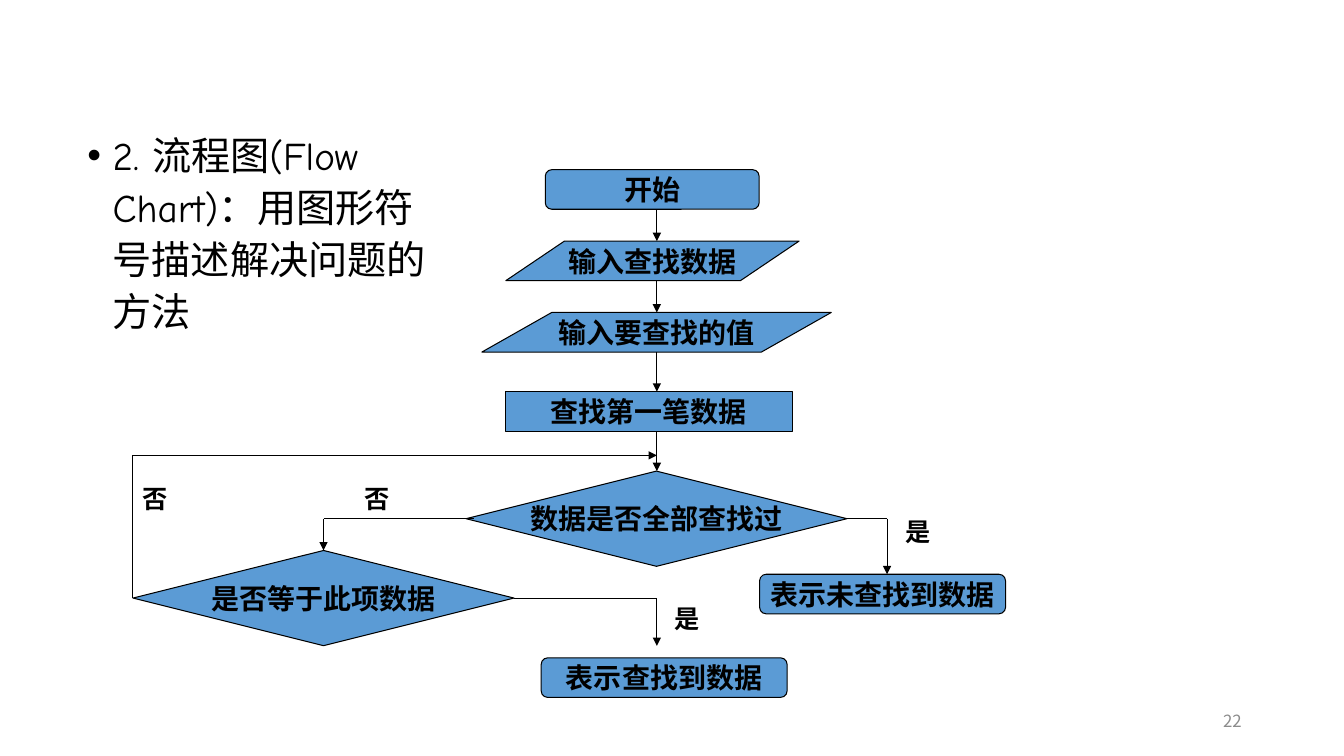
import lxml.etree
import pptx
import pptx.dml.color
import pptx.enum.shapes
import pptx.enum.text
import pptx.oxml.ns
import pptx.util

Pt = pptx.util.Pt
qn = pptx.oxml.ns.qn
Align = pptx.enum.text.PP_ALIGN
Anchor = pptx.enum.text.MSO_ANCHOR
Preset = pptx.enum.shapes.MSO_SHAPE

COLORS = {"ink": "000000", "fill": "5B9BD5", "number": "8C8C8C"}
CJK_FONT = "Noto Sans CJK SC"


def color(name):
    return pptx.dml.color.RGBColor.from_string(COLORS[name])


class FlowPage:
    line_width = Pt(0.75)
    node_height = 28.3
    decision_height = 68

    def __init__(self, deck):
        self.page = deck.slides.add_slide(deck.slide_layouts[6])

    def label(self, shape, text, size, font="Cabin", ink="ink", bold=False, align=Align.LEFT):
        para = shape.text_frame.paragraphs[0]
        para.text = text
        para.alignment = align
        para.font.size = Pt(size)
        para.font.bold = bold
        para.font.name = font
        para.font.color.rgb = color(ink)
        defaults = para._p.pPr.find(qn("a:defRPr"))
        lxml.etree.SubElement(defaults, qn("a:ea"), typeface=CJK_FONT)
        return para

    def text(self, left, top, width, height, text, size, anchor=Anchor.TOP, **style):
        box = self.page.shapes.add_textbox(Pt(left), Pt(top), Pt(width), Pt(height))
        box.text_frame.word_wrap = True
        box.text_frame.vertical_anchor = anchor
        return self.label(box, text, size, **style)

    def bullet(self, para, indent):
        para.line_spacing = 1.1
        para.space_before = Pt(10)
        properties = para._p.pPr
        properties.set("marL", str(Pt(indent)))
        properties.set("indent", str(-Pt(indent)))
        defaults = properties.find(qn("a:defRPr"))
        font = lxml.etree.Element(qn("a:buFont"), typeface="Arial")
        mark = lxml.etree.Element(qn("a:buChar"), char="•")
        defaults.addprevious(font)
        defaults.addprevious(mark)

    def node(self, preset, left, top, width, text):
        decision = preset == Preset.FLOWCHART_DECISION
        height = self.decision_height if decision else self.node_height
        shape = self.page.shapes.add_shape(preset, Pt(left), Pt(top), Pt(width), Pt(height))
        shape.shadow.inherit = False
        shape.fill.solid()
        shape.fill.fore_color.rgb = color("fill")
        shape.line.color.rgb = color("ink")
        shape.line.width = self.line_width
        shape.text_frame.word_wrap = False
        shape.text_frame.vertical_anchor = Anchor.MIDDLE
        self.label(shape, text, 20, bold=True, align=Align.CENTER)

    def route(self, *points):
        """Straight segments through the points, with an arrowhead at the end."""
        for start, end in zip(points, points[1:]):
            line = self.page.shapes.add_connector(
                pptx.enum.shapes.MSO_CONNECTOR.STRAIGHT, *map(Pt, start + end))
            line.line.color.rgb = color("ink")
            line.line.width = self.line_width
            properties = line._element.spPr
            if end == points[-1]:
                outline = properties.find(qn("a:ln"))
                lxml.etree.SubElement(outline, qn("a:tailEnd"), type="triangle")
            lxml.etree.SubElement(properties, qn("a:effectLst"))


def main():
    deck = pptx.Presentation()
    deck.slide_width, deck.slide_height = Pt(960), Pt(540)
    flow = FlowPage(deck)

    # Page number and description
    flow.text(678, 500.5, 216, 28.8, "22", 12, anchor=Anchor.MIDDLE,
              font=CJK_FONT, ink="number", align=Align.RIGHT)
    description = flow.text(55.4, 87.1, 272.2, 188,
                            "2. 流程图(Flow Chart)：用图形符号描述解决问题的方法",
                            28, font="Comic Neue")
    flow.bullet(description, 18)

    # Steps: preset, left, top, width, text
    for step in (
        (Preset.FLOWCHART_ALTERNATE_PROCESS, 389.5, 121.2, 152.8, "开始"),
        (Preset.FLOWCHART_DATA, 361.3, 172.2, 209.5, "输入查找数据"),
        (Preset.FLOWCHART_DATA, 344.2, 223.2, 249.6, "输入要查找的值"),
        (Preset.FLOWCHART_PROCESS, 361.3, 279.8, 204.5, "查找第一笔数据"),
        (Preset.FLOWCHART_DECISION, 332.8, 336.5, 272.2, "数据是否全部查找过"),
        (Preset.FLOWCHART_DECISION, 95, 393.2, 272.2, "是否等于此项数据"),
        (Preset.FLOWCHART_ALTERNATE_PROCESS, 542.6, 410.2, 175.7, "表示未查找到数据"),
        (Preset.FLOWCHART_ALTERNATE_PROCESS, 386.6, 469.9, 175.7, "表示查找到数据"),
    ):
        flow.node(*step)

    # Arrows down the main column
    axis = 469.2
    for top, bottom in ((149.5, 172.2), (200.5, 223.2), (251.5, 279.8), (308.1, 336.5)):
        flow.route((axis, top), (axis, bottom))

    # Branches of the two decisions
    all_checked, is_equal, loop = 370.5, 427.2, 325.3
    flow.route((605, all_checked), (633.6, all_checked), (633.6, 410.2))
    flow.route((338.4, all_checked), (231.1, all_checked), (231.1, 393.2))
    flow.route((95, is_equal), (95, loop), (axis, loop))
    flow.route((367.2, is_equal), (axis, is_equal), (axis, 461.4))

    # Branch labels
    for left, top, answer in ((639.4, 365, "是"), (474.5, 427.7, "是"),
                              (253.4, 342, "否"), (95, 342, "否")):
        flow.text(left, top, 39.6, 28.8, answer, 18, bold=True)

    deck.save("out.pptx")


if __name__ == "__main__":
    main()
